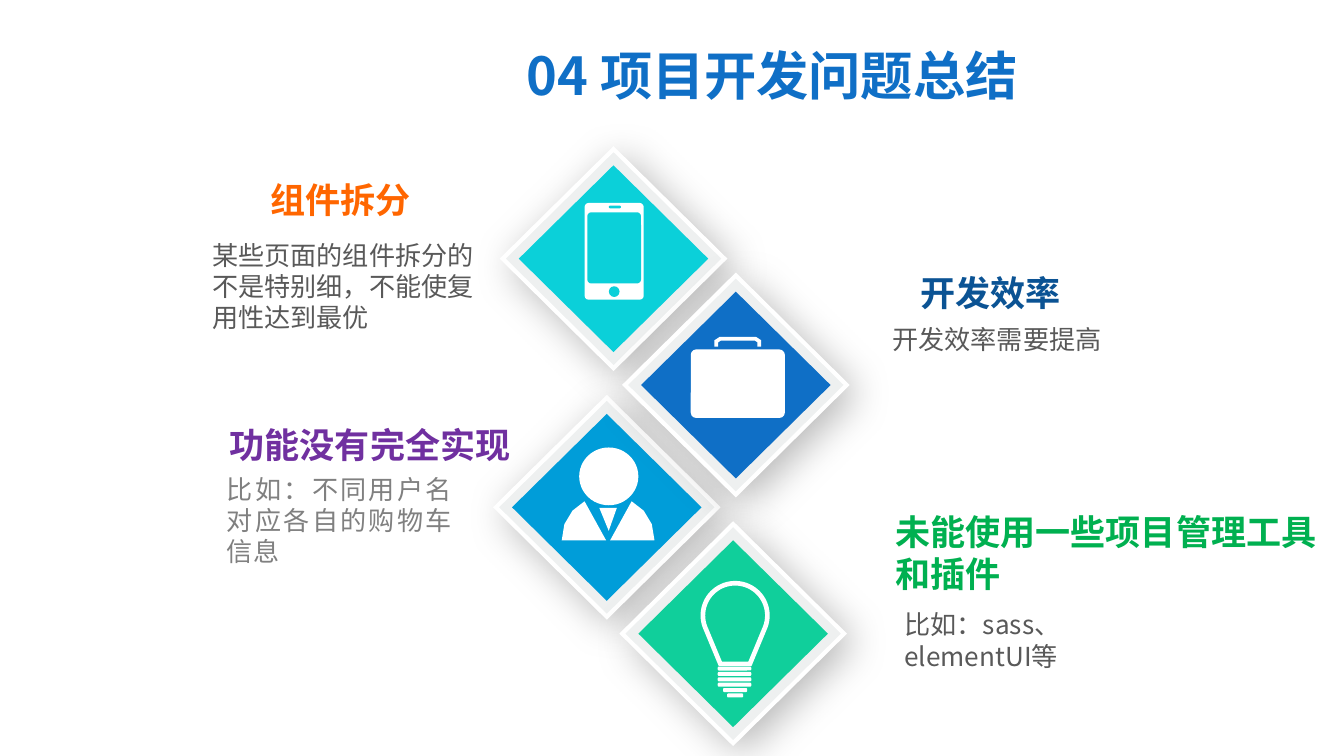
from math import cos, radians, sin

from lxml.etree import SubElement
from pptx import Presentation
from pptx.dml.color import RGBColor
from pptx.enum.shapes import MSO_SHAPE as Shape
from pptx.enum.text import MSO_AUTO_SIZE as AutoSize, PP_ALIGN as Align
from pptx.oxml.ns import qn
from pptx.util import Emu, Pt

PX = 9144
FONT = "Noto Sans CJK SC"
WHITE = "FFFFFF"
TEAL, SKY, BLUE, GREEN = "0BD0D9", "009DD9", "0F6FC6", "10CF9B"
GREY = "595959"


def paint(shape, fill=None, line=None, weight=1):
    shape.shadow.inherit = False
    if fill:
        shape.fill.solid()
        shape.fill.fore_color.rgb = RGBColor.from_string(fill)
    else:
        shape.fill.background()
    if line:
        shape.line.color.rgb = RGBColor.from_string(line)
        shape.line.width = Pt(weight)
        SubElement(shape._element.spPr.find(qn("a:ln")), qn("a:miter"), lim="800000")
    else:
        shape.line.fill.background()


def add_solid(kind, left, top, width, height, fill, radius=0):
    shape = page.shapes.add_shape(kind, left * PX, top * PX, width * PX, height * PX)
    paint(shape, fill)
    if radius:
        shape.adjustments[0] = radius / min(width, height)
    return shape


deck = Presentation()
deck.slide_width = Emu(1000 * PX)
deck.slide_height = Emu(deck.slide_width * 9 // 16)
page = deck.slides.add_slide(deck.slide_layouts[6])

for left, top, color in [(374, 111, TEAL), (369, 296, SKY), (465, 205, BLUE), (463, 390, GREEN)]:
    frame = add_solid(Shape.DIAMOND, left, top, 165, 163, "EEF0F0")
    paint(frame, "EEF0F0", WHITE, 2.25)
    effects = frame._element.spPr.find(qn("a:effectLst"))
    shadow = SubElement(effects, qn("a:outerShdw"), blurRad=str(Pt(22)), dist=str(Pt(6)),
                        dir="2700000", algn="tl", rotWithShape="0")
    tint = SubElement(shadow, qn("a:srgbClr"), val="000000")
    SubElement(tint, qn("a:alpha"), val="28000")
    add_solid(Shape.DIAMOND, left + 12, top + 12, 141, 139, color)

phone_and_case = [
    (435, 151, 44, 72, WHITE, 3),
    (437, 158, 40, 53, TEAL, 3),
    (453, 153, 9, 2, TEAL, 1),
    (514, 260, 70, 51, WHITE, 4),
]
for left, top, width, height, color, radius in phone_and_case:
    add_solid(Shape.ROUNDED_RECTANGLE, left, top, width, height, color, radius)
add_solid(Shape.OVAL, 453, 213, 8, 8, TEAL)
add_solid(Shape.OVAL, 431, 333, 44, 43, WHITE)

bulb_threads = [(534, 496 + 4 * row, 25) for row in range(4)] + [(538, 512, 18), (541, 516, 12)]
for left, top, width in bulb_threads:
    add_solid(Shape.ROUNDED_RECTANGLE, left, top, width, 3, WHITE, 1)

shoulder = [(435, 373), (426, 380), (420, 390), (418, 402), (451, 402)]
other_shoulder = [(905 - x, y) for x, y in shoulder]
tie = [(446, 378), (453, 395), (459, 378)]
handle = [(533, 258), (533, 254), (536, 252), (562, 252), (565, 254), (565, 258)]
bulb = [(547 + 24 * cos(radians(angle)), 458 + 24 * sin(radians(angle)))
        for angle in range(160, 381, 5)] + [(558, 494), (536, 494)]
outlines = [
    (shoulder, True, WHITE, None, 0),
    (other_shoulder, True, WHITE, None, 0),
    (tie, True, WHITE, None, 0),
    (handle, False, None, WHITE, 2),
    (bulb, True, None, WHITE, 2.5),
]
for points, closed, fill, line, weight in outlines:
    corners = [(x * PX, y * PX) for x, y in points]
    builder = page.shapes.build_freeform(*corners[0])
    builder.add_line_segments(corners[1:], close=closed)
    paint(builder.convert_to_shape(), fill, line, weight)

HEAD = (18.8, True, 7, 4)
BODY = (14, False, 10, 5)
TITLE = (28, True, 10, 5)
texts = [
    (193, 129, 121, 39, HEAD, "FF6600", Align.CENTER, True, ["组件拆分"]),
    (148, 173, 217, 81, BODY, GREY, Align.LEFT, True,
     ["某些页面的组件拆分的不是特别细，不能使复用性达到最优"]),
    (162, 311, 227, 39, HEAD, "7030A0", Align.CENTER, False, ["功能没有完全实现"]),
    (159, 347, 187, 81, BODY, "808080", Align.JUSTIFY, True,
     ["比如：不同用户名对应各自的购物车信息"]),
    (678, 198, 121, 39, HEAD, "0B5394", Align.LEFT, False, ["开发效率"]),
    (654, 236, 187, 34, BODY, GREY, Align.LEFT, True, ["开发效率需要提高"]),
    (659, 376, 333, 71, HEAD, "00B050", Align.LEFT, False,
     ["未能使用一些项目管理工具", "和插件"]),
    (663, 448, 187, 57, BODY, GREY, Align.LEFT, True, ["比如：sass、elementUI等"]),
    (382, 27, 397, 57, TITLE, BLUE, Align.LEFT, False, ["04 项目开发问题总结"]),
]
for left, top, width, height, style, color, align, wrap, lines in texts:
    size, bold, side, edge = style
    box = page.shapes.add_textbox(left * PX, top * PX, width * PX, height * PX)
    frame = box.text_frame
    frame.word_wrap = wrap
    frame.auto_size = AutoSize.SHAPE_TO_FIT_TEXT
    frame.margin_left = frame.margin_right = side * PX
    frame.margin_top = frame.margin_bottom = edge * PX
    for index, line in enumerate(lines):
        para = frame.add_paragraph() if index else frame.paragraphs[0]
        para.alignment = align
        span = para.add_run()
        span.text = line
        span.font.size = Pt(size)
        span.font.bold = bold
        span.font.color.rgb = RGBColor.from_string(color)
        span.font.name = FONT
        SubElement(span.font._element, qn("a:ea"), typeface=FONT)

deck.save("out.pptx")
